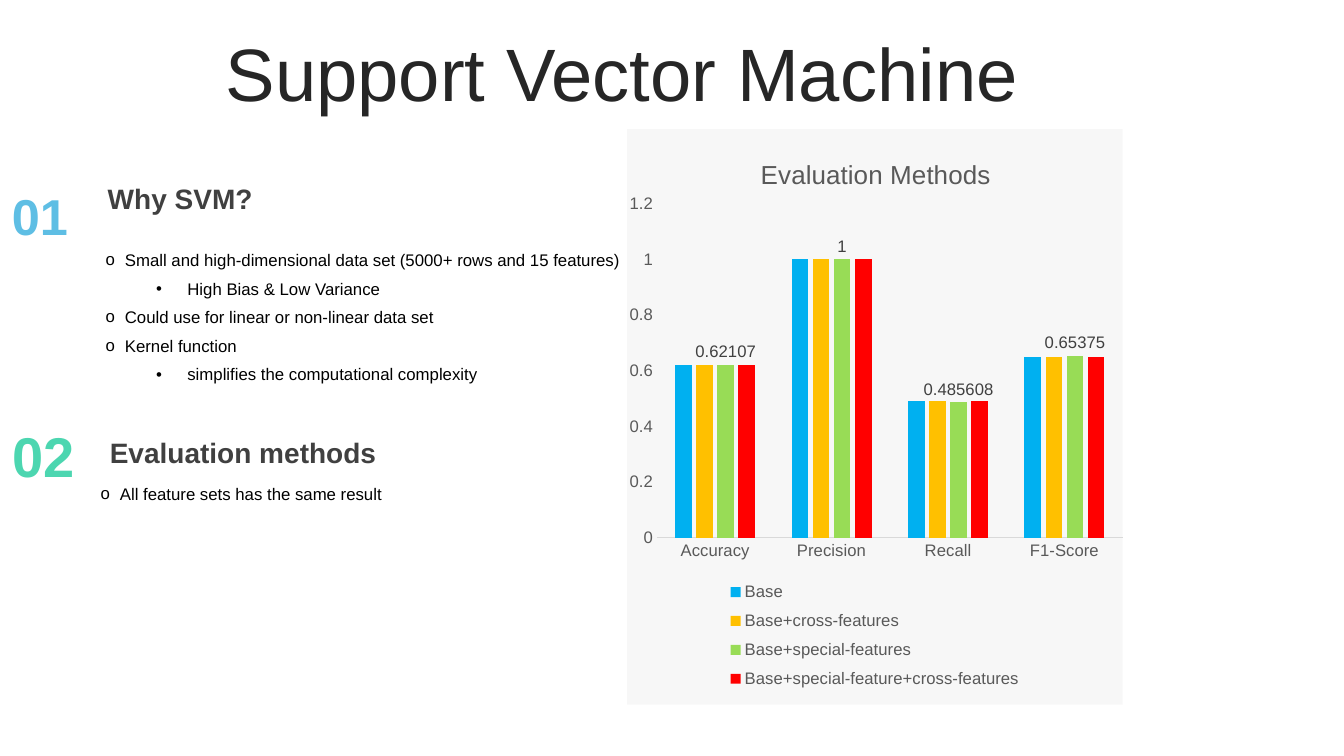
from dataclasses import dataclass

from lxml import etree
from pptx import Presentation
from pptx import util as u
from pptx.chart import data as cd
from pptx.dml import color
from pptx.enum import chart as ec, text as et
from pptx.oxml import ns

PX = 9144  # EMU per px, 100 px to the inch


@dataclass(frozen=True)
class Theme:
    font: str = "Arial"
    title: str = "262626"
    head: str = "404040"
    body: str = "000000"
    one: str = "5EBEE4"
    two: str = "4CD6B0"
    label: str = "595959"
    line: str = "D9D9D9"
    panel: str = "D0CECE"
    bars: tuple = ("00B0F0", "FFC000", "98DC56", "FF0000")
    big: float = 53
    num: float = 36
    num_two: float = 40
    sub: float = 20
    text: float = 12
    chart: float = 18.6
    tick: float = 11.9


T = Theme()


def px(n):
    return u.Emu(n * PX)


def rgb(code):
    return color.RGBColor.from_string(code)


def style(font, size, tint, bold=False):
    font.name, font.size, font.bold = T.font, u.Pt(size), bold
    font.color.rgb = rgb(tint)


def frame(slide, x, y, w, h):
    tf = slide.shapes.add_textbox(px(x), px(y), px(w), px(h)).text_frame
    tf.word_wrap = True
    return tf


def write(para, words, size, tint, bold=False):
    run = para.add_run()
    run.text = words
    style(run.font, size, tint, bold)


def label(slide, spot, words, size, tint, bold=True, align=et.PP_ALIGN.LEFT):
    tf = frame(slide, *spot)
    para = tf.paragraphs[0]
    para.alignment = align
    write(para, words, size, tint, bold)
    return tf


def bullet(para, level):
    mark, left, hang = (("o", 19, 19), ("•", 81, 31))[level]
    para.level = level
    props = para._p.get_or_add_pPr()
    props.set("marL", str(px(left)))
    props.set("indent", str(-px(hang)))
    etree.SubElement(props, ns.qn("a:buFont")).set("typeface", T.font)
    etree.SubElement(props, ns.qn("a:buChar")).set("char", mark)


def points(slide, spot, items):
    tf = frame(slide, *spot)
    for i, (level, words) in enumerate(items):
        para = tf.add_paragraph() if i else tf.paragraphs[0]
        bullet(para, level)
        para.space_before = u.Pt(6 if i else 0)
        write(para, words, T.text, T.body)


def place(node, index, inner=False, **sides):
    """Give a chart part a fixed place, in fractions of the chart."""
    for old in node.findall(ns.qn("c:layout")):
        node.remove(old)
    layout = etree.Element(ns.qn("c:layout"))
    node.insert(index, layout)
    manual = etree.SubElement(layout, ns.qn("c:manualLayout"))
    pairs = [("layoutTarget", "inner")] if inner else []
    pairs += [("xMode", "edge"), ("yMode", "edge"), *sides.items()]
    for tag, val in pairs:
        etree.SubElement(manual, ns.qn("c:" + tag)).set("val", str(val))


def panel(chart):
    """Tint the chart area with a see-through grey and no border."""
    props = etree.Element(ns.qn("c:spPr"))
    fill = etree.SubElement(props, ns.qn("a:solidFill"))
    tint = etree.SubElement(fill, ns.qn("a:srgbClr"), val=T.panel)
    etree.SubElement(tint, ns.qn("a:alpha"), val="15000")
    edge = etree.SubElement(props, ns.qn("a:ln"))
    etree.SubElement(edge, ns.qn("a:noFill"))
    chart._chartSpace.find(ns.qn("c:chart")).addnext(props)


def axes(chart):
    for axis in (chart.category_axis, chart.value_axis):
        axis.has_major_gridlines = False
        axis.major_tick_mark = axis.minor_tick_mark = ec.XL_TICK_MARK.NONE
        style(axis.tick_labels.font, T.tick, T.label)
    base = chart.category_axis.format.line
    base.color.rgb, base.width = rgb(T.line), u.Pt(0.75)
    side = chart.value_axis
    side.minimum_scale, side.maximum_scale, side.major_unit = 0, 1.2, 0.2
    side.format.line.fill.background()


def columns(slide, spot, name, cats, rows):
    data = cd.CategoryChartData()
    data.categories = cats
    for key, vals in rows:
        data.add_series(key, vals)
    chart = slide.shapes.add_chart(
        ec.XL_CHART_TYPE.COLUMN_CLUSTERED, *map(px, spot), data).chart
    style(chart.font, 10, T.body)
    panel(chart)
    axes(chart)

    # Title
    chart.has_title = True
    write(chart.chart_title.text_frame.paragraphs[0], name, T.chart, T.label)
    place(chart.chart_title._element, 1, x=0.26, y=0.04)

    # Bars
    plot = chart.plots[0]
    plot.gap_width, plot.overlap, plot.vary_by_categories = 219, -27, False
    for bar, tint in zip(plot.series, T.bars):
        bar.format.fill.solid()
        bar.format.fill.fore_color.rgb = rgb(tint)
        bar.invert_if_negative = False
    tags = plot.series[2].data_labels
    tags.show_value = True
    tags.position = ec.XL_LABEL_POSITION.OUTSIDE_END
    style(tags.font, T.tick, T.head)
    area = chart._chartSpace.find(".//" + ns.qn("c:plotArea"))
    place(area, 0, True, x=0.06, y=0.13, w=0.94, h=0.58)

    # Legend
    chart.has_legend = True
    key = chart.legend
    key.position = ec.XL_LEGEND_POSITION.BOTTOM
    key.include_in_layout = False
    style(key.font, T.tick, T.label)
    place(key._element, 1, x=0.2, y=0.77, w=0.6, h=0.22)


def main():
    deck = Presentation()
    deck.slide_width, deck.slide_height = px(1333), px(750)
    slide = deck.slides.add_slide(deck.slide_layouts[6])

    # Heading
    tf = label(slide, (73, 38, 1088, 77), "Support Vector Machine",
               T.big, T.title, False, et.PP_ALIGN.CENTER)
    tf.vertical_anchor = et.MSO_ANCHOR.MIDDLE
    tf.paragraphs[0].line_spacing = 0.9

    # Part 01
    label(slide, (2, 179, 100, 71), "01", T.num, T.one)
    label(slide, (97, 175, 576, 44), "Why SVM?", T.sub, T.head)
    points(slide, (95, 243, 605, 145), [
        (0, "Small and high-dimensional data set (5000+ rows and 15 features)"),
        (1, "High Bias & Low Variance"),
        (0, "Could use for linear or non-linear data set"),
        (0, "Kernel function"),
        (1, "simplifies the computational complexity"),
    ])

    # Part 02
    label(slide, (2, 413, 83, 77), "02", T.num_two, T.two,
          align=et.PP_ALIGN.CENTER)
    label(slide, (99, 427, 321, 44), "Evaluation methods", T.sub, T.head)
    points(slide, (90, 475, 605, 30),
           [(0, "All feature sets has the same result")])

    # Scores
    near = (0.62, 1, 0.49, 0.65)
    columns(slide, (622, 128, 492, 571), "Evaluation Methods",
            ("Accuracy", "Precision", "Recall", "F1-Score"), [
                ("Base", near),
                ("Base+cross-features", near),
                ("Base+special-features", (0.62107, 1, 0.485608, 0.65375)),
                ("Base+special-feature+cross-features", near),
            ])
    deck.save("out.pptx")


if __name__ == "__main__":
    main()
